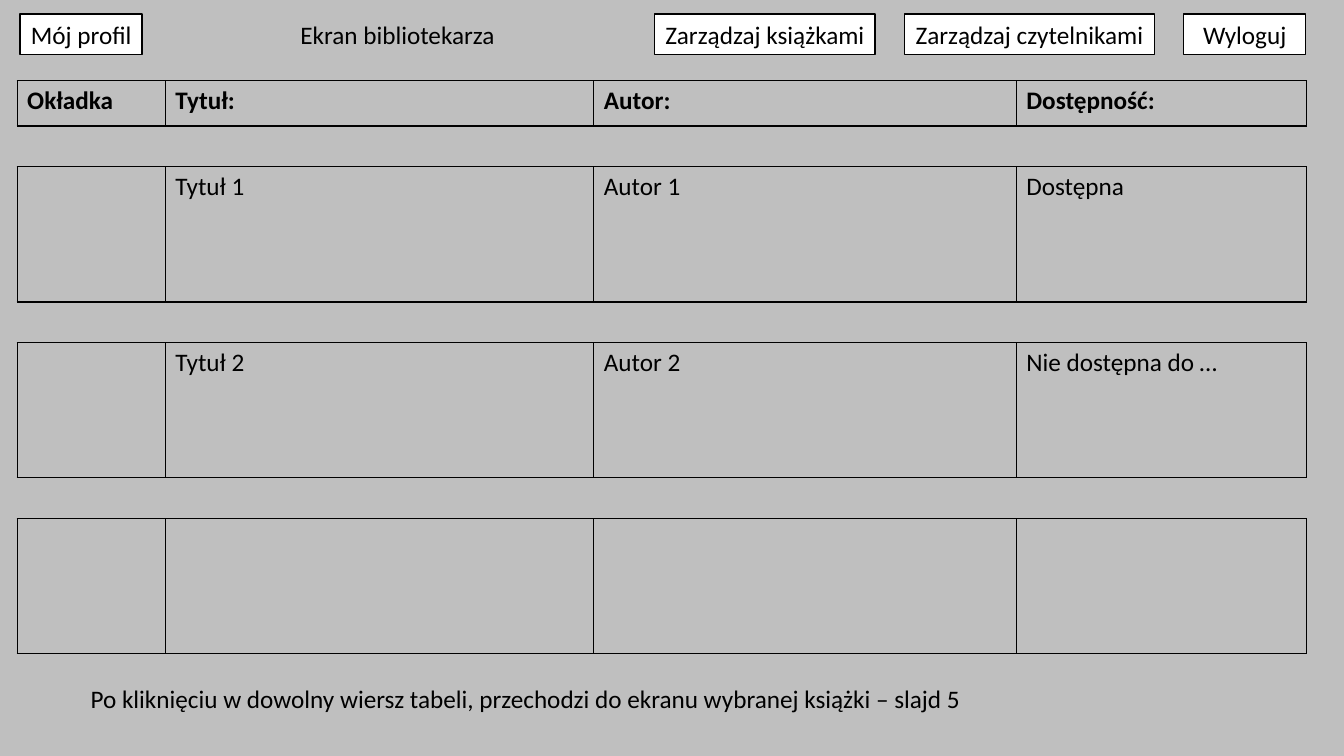
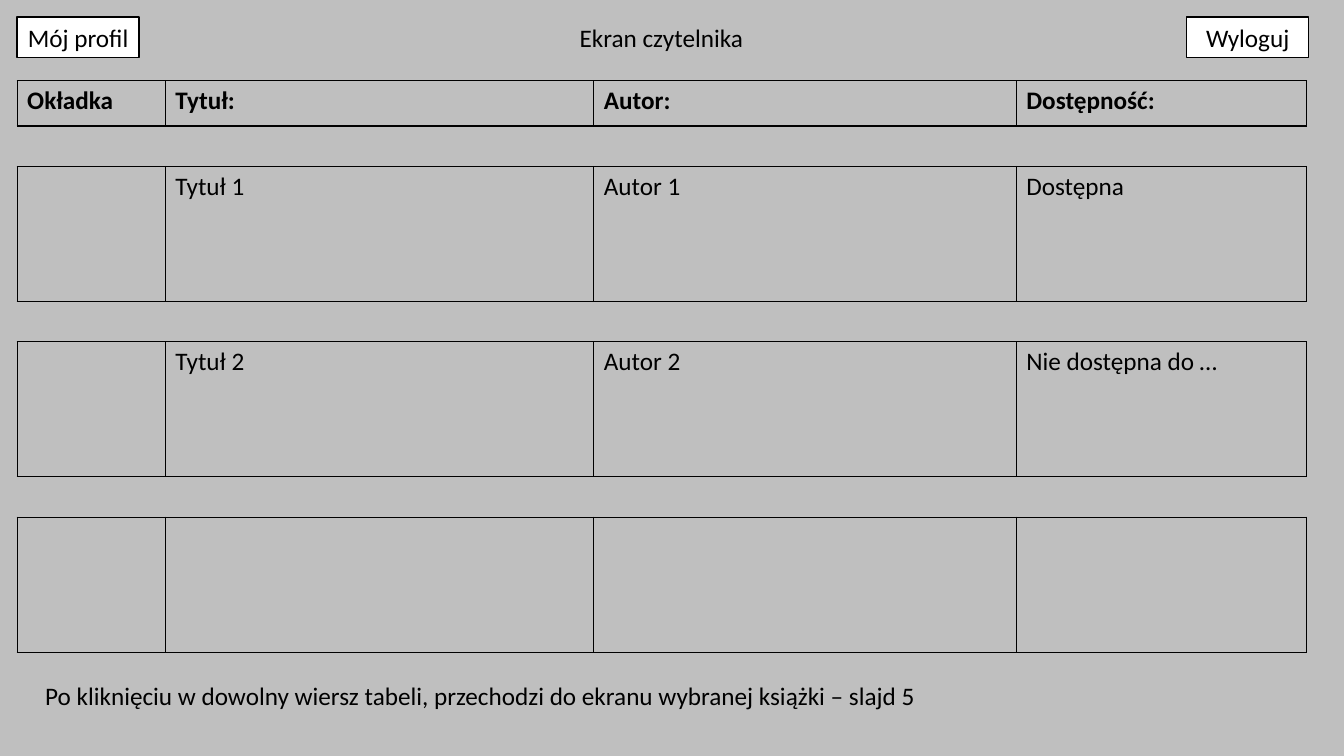
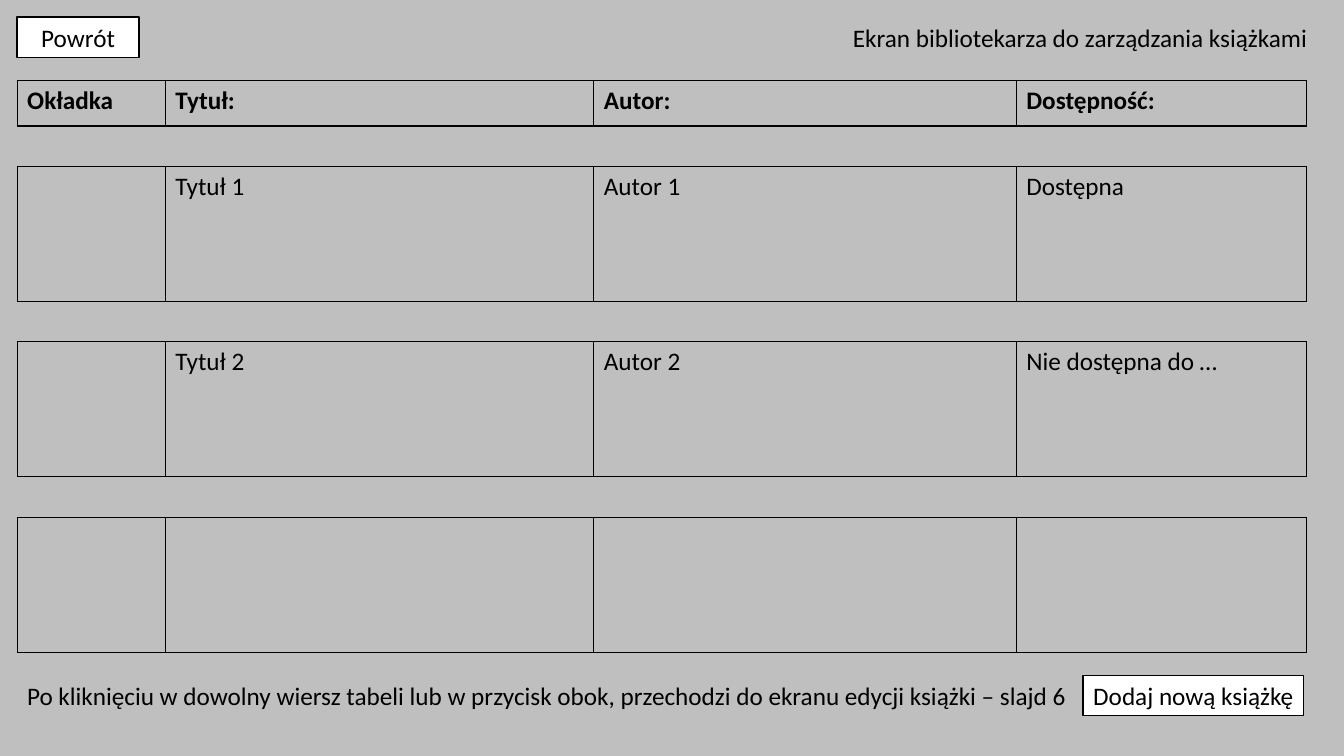
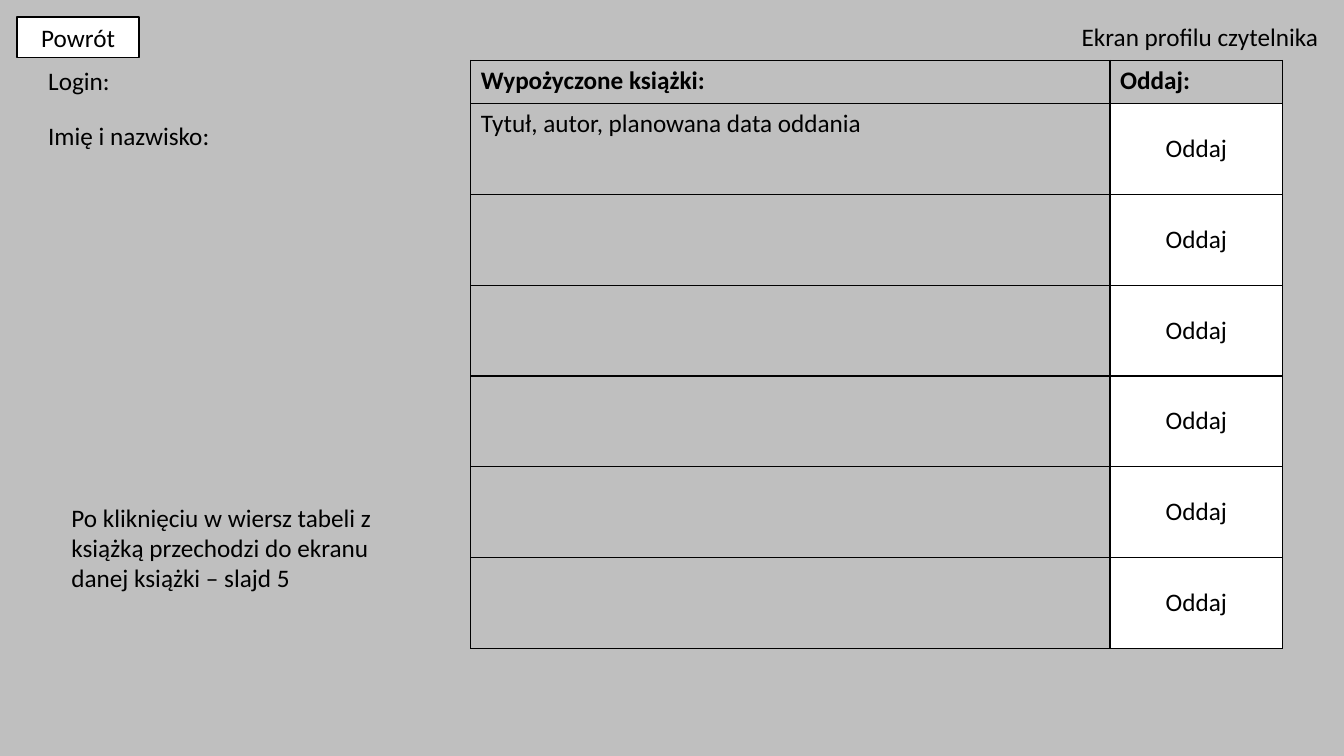
from dataclasses import dataclass

from lxml import etree
from pptx import Presentation
from pptx.dml.color import RGBColor
from pptx.enum.shapes import MSO_SHAPE as Shape
from pptx.enum.text import MSO_ANCHOR as Anchor, MSO_AUTO_SIZE as AutoSize, PP_ALIGN as Align
from pptx.oxml.ns import qn
from pptx.slide import Slide
from pptx.table import _Cell as Cell
from pptx.text.text import TextFrame
from pptx.util import Emu, Pt

PX = 9144  # EMU per px: 100 px to the inch
SLIDE_W, SLIDE_H = 1333, 750
FONT, FONT_SIZE = "Calibri", Pt(18)
LINE_WIDTH = Pt(1)
BLACK = RGBColor(0x00, 0x00, 0x00)
WHITE = RGBColor(0xFF, 0xFF, 0xFF)
GREY = RGBColor(0xBF, 0xBF, 0xBF)

LINE_H = 40
MARGIN = 17
BUTTON_W = 121
BOOK_COLS = (147, 425, 419, 288)
BOOK_TOP, BOOK_HEADER_H, BOOK_ROW_H = 80, 45, 134
BOOK_HEADER = ("Okładka", "Tytuł:", "Autor:", "Dostępność:")
BOOKS = (
    ("", "Tytuł 1", "Autor 1", "Dostępna"),
    ("", "Tytuł 2", "Autor 2", "Nie dostępna do …"),
    ("", "", "", ""),
)
LOAN_COLS = (634, 171)
LOAN_LEFT, LOAN_TOP, LOAN_HEADER_H, LOAN_ROW_H = 467, 60, 43, 90
LOANS = ("Tytuł, autor, planowana data oddania", "", "", "", "", "")
BOOK_HINT = "Po kliknięciu w dowolny wiersz tabeli, przechodzi do ekranu wybranej książki – slajd 5"


@dataclass(frozen=True)
class Button:
    text: str
    left: int
    top: int = 17
    width: int = BUTTON_W


@dataclass(frozen=True)
class Label:
    text: str
    left: int
    top: int
    width: int
    height: int = LINE_H
    wrap: bool = False


@dataclass(frozen=True)
class Screen:
    labels: tuple[Label, ...]
    buttons: tuple[Button, ...]
    has_books: bool = True


BACK = Button("Powrót", MARGIN)

SCREENS = (
    Screen(
        (Label("Ekran bibliotekarza", 288, 14, 215), Label(BOOK_HINT, 80, 673, 887)),
        (
            Button("Mój profil", 20, 14),
            Button("Zarządzaj książkami", 649, 14, 219),
            Button("Zarządzaj czytelnikami", 897, 14, 248),
            Button("Wyloguj", 1174, 14),
        ),
    ),
    Screen(
        (Label("Ekran czytelnika", 565, 17, 184), Label(BOOK_HINT, 35, 670, 893)),
        (Button("Mój profil", MARGIN), Button("Wyloguj", 1177)),
    ),
    Screen(
        (
            Label("Ekran bibliotekarza do zarządzania książkami", 836, 17, 475),
            Label(
                "Po kliknięciu w dowolny wiersz tabeli lub w przycisk obok, "
                "przechodzi do ekranu edycji książki – slajd 6",
                MARGIN, 670, 1056, wrap=True,
            ),
        ),
        (BACK, Button("Dodaj nową książkę", 1074, 670, 219)),
    ),
    Screen(
        (
            Label("Ekran profilu czytelnika", 1063, 16, 290, wrap=True),
            Label("Login:", 38, 60, 100, wrap=True),
            Label("Imię i nazwisko:", 38, 114, 196, wrap=True),
            Label(
                "Po kliknięciu w wiersz tabeli z książką przechodzi do ekranu "
                "danej książki – slajd 5",
                61, 493, 321, 101, wrap=True,
            ),
        ),
        (BACK,),
        has_books=False,
    ),
)


def px(*lengths: int) -> tuple[Emu, ...]:
    return tuple(Emu(n * PX) for n in lengths)


def write(tf: TextFrame, text: str, align: Align = Align.LEFT, bold: bool = False) -> None:
    p = tf.paragraphs[0]
    p.text = text
    p.alignment = align
    p.font.size = FONT_SIZE
    for r in p.runs:
        r.font.name, r.font.size, r.font.bold = FONT, FONT_SIZE, bold
        r.font.color.rgb = BLACK


def add_label(slide: Slide, label: Label) -> None:
    sp = slide.shapes.add_textbox(*px(label.left, label.top, label.width, label.height))
    tf = sp.text_frame
    tf.word_wrap = label.wrap
    tf.auto_size = AutoSize.SHAPE_TO_FIT_TEXT
    write(tf, label.text)


def add_button(slide: Slide, button: Button) -> None:
    box = px(button.left, button.top, button.width, LINE_H)
    sp = slide.shapes.add_shape(Shape.RECTANGLE, *box)
    sp.shadow.inherit = False
    sp.fill.solid()
    sp.fill.fore_color.rgb = WHITE
    sp.line.color.rgb = BLACK
    sp.line.width = LINE_WIDTH
    tf = sp.text_frame
    tf.word_wrap = False
    tf.vertical_anchor = Anchor.MIDDLE
    write(tf, button.text, Align.CENTER)


def set_borders(cell: Cell, visible: str) -> None:
    """Draw the sides named in visible (letters of LRTB) and clear the others."""
    tc_pr = cell._tc.get_or_add_tcPr()
    for i, side in enumerate("LRTB"):
        ln = etree.Element(qn(f"a:ln{side}"), w=str(int(LINE_WIDTH)))
        if side in visible:
            fill = etree.SubElement(ln, qn("a:solidFill"))
            etree.SubElement(fill, qn("a:srgbClr"), val=str(BLACK))
        else:
            etree.SubElement(ln, qn("a:noFill"))
        tc_pr.insert(i, ln)


def add_grid(slide: Slide, left: int, top: int, cols: tuple[int, ...],
             heights: list[int], rows: list[tuple[str, ...]]):
    """Add a clear table with a bold first row; an empty tuple makes a gap row."""
    box = px(left, top, sum(cols), sum(heights))
    table = slide.shapes.add_table(len(rows), len(cols), *box).table
    table.first_row = table.horz_banding = False
    for column, width in zip(table.columns, px(*cols)):
        column.width = width
    for i, (row, height, texts) in enumerate(zip(table.rows, px(*heights), rows)):
        row.height = height
        for cell, text in zip(row.cells, texts or [""] * len(cols)):
            cell.fill.background()
            set_borders(cell, "LRTB" if texts else "TB")
            write(cell.text_frame, text, bold=i == 0)
    return table


def add_books(slide: Slide) -> None:
    rows, heights = [BOOK_HEADER], [BOOK_HEADER_H]
    for book in BOOKS:
        rows += [(), book]
        heights += [LINE_H, BOOK_ROW_H]
    add_grid(slide, MARGIN, BOOK_TOP, BOOK_COLS, heights, rows)


def add_loans(slide: Slide) -> None:
    rows = [("Wypożyczone książki:", "Oddaj:")] + [(loan, "Oddaj") for loan in LOANS]
    heights = [LOAN_HEADER_H] + [LOAN_ROW_H] * len(LOANS)
    table = add_grid(slide, LOAN_LEFT, LOAN_TOP, LOAN_COLS, heights, rows)
    for i in range(1, len(rows)):
        cell = table.cell(i, 1)
        cell.fill.solid()
        cell.fill.fore_color.rgb = WHITE
        cell.vertical_anchor = Anchor.MIDDLE
        cell.text_frame.paragraphs[0].alignment = Align.CENTER


def main() -> None:
    prs = Presentation()
    prs.slide_width, prs.slide_height = px(SLIDE_W, SLIDE_H)
    background = prs.slide_master.background.fill
    background.solid()
    background.fore_color.rgb = GREY
    for screen in SCREENS:
        slide = prs.slides.add_slide(prs.slide_layouts[6])
        if screen.has_books:
            add_books(slide)
        else:
            add_loans(slide)
        for label in screen.labels:
            add_label(slide, label)
        for button in screen.buttons:
            add_button(slide, button)
    prs.save("out.pptx")


if __name__ == "__main__":
    main()
